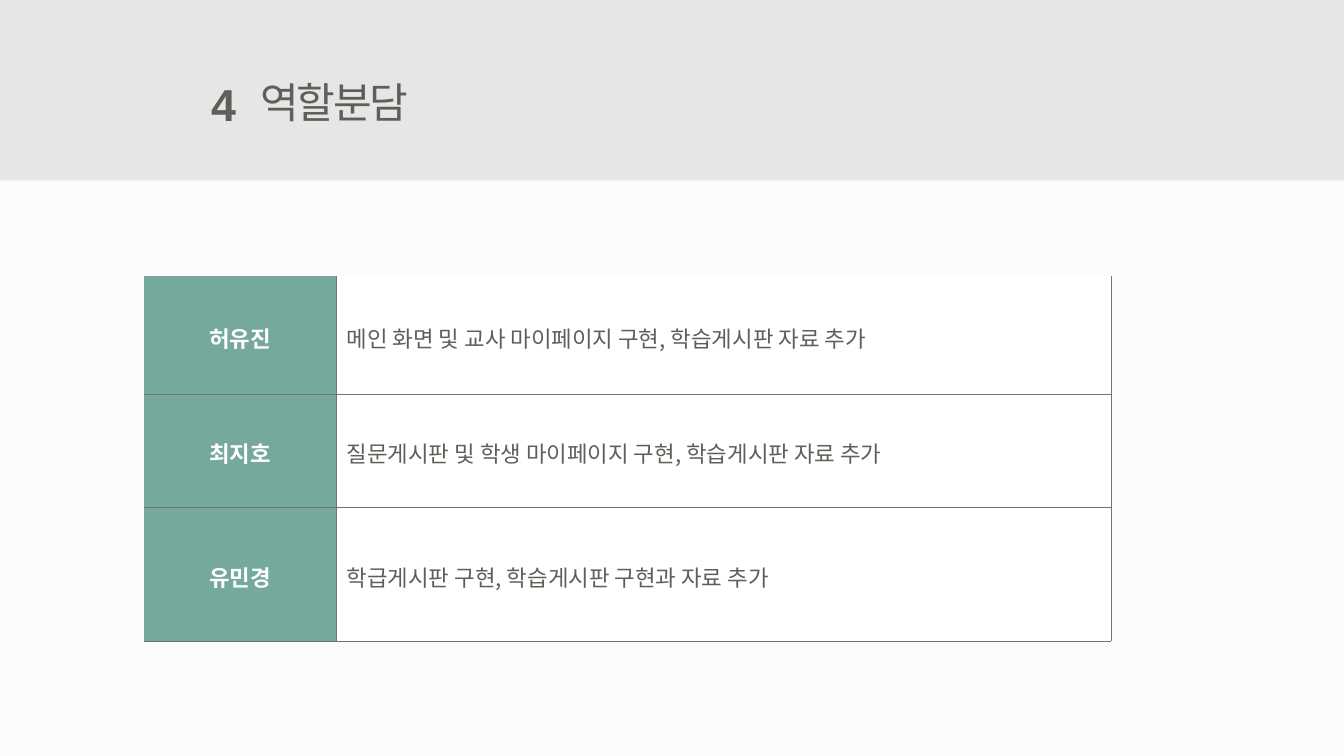
from lxml.etree import SubElement
from pptx import Presentation
from pptx.dml.color import RGBColor
from pptx.enum.shapes import MSO_SHAPE
from pptx.enum.text import MSO_ANCHOR, MSO_AUTO_SIZE, PP_ALIGN
from pptx.oxml.ns import qn
from pptx.util import Inches, Pt

KOREAN_FONT = "Noto Sans CJK KR"
GRAY, LINE, GREEN, WHITE = "5F5E58", "767171", "75A99E", "FFFFFF"
COLUMN_WIDTHS = (1.9, 7.69)
ROW_HEIGHTS = (1.17, 1.12, 1.33)
ROLES = (
    ("허유진", "메인 화면 및 교사 마이페이지 구현, 학습게시판 자료 추가"),
    ("최지호", "질문게시판 및 학생 마이페이지 구현, 학습게시판 자료 추가"),
    ("유민경", "학급게시판 구현, 학습게시판 구현과 자료 추가"),
)


def set_fill(fill, color):
    fill.solid()
    fill.fore_color.rgb = RGBColor.from_string(color)


def write_text(frame, text, size, color, align, font=KOREAN_FONT, bold=False, spacing=0):
    """Fill the frame with one paragraph; spacing is in hundredths of a point."""
    frame.text = text
    paragraph = frame.paragraphs[0]
    paragraph.alignment = align
    paragraph.font.name = font
    paragraph.font.size = Pt(size)
    paragraph.font.bold = bold
    paragraph.font.color.rgb = RGBColor.from_string(color)
    properties = paragraph.font._element
    SubElement(properties, qn("a:ea")).set("typeface", font)
    if spacing:
        properties.set("spc", str(spacing))
    return paragraph


def fit_heading(shape):
    frame = shape.text_frame
    frame.word_wrap = False
    frame.auto_size = MSO_AUTO_SIZE.SHAPE_TO_FIT_TEXT
    frame.vertical_anchor = MSO_ANCHOR.TOP
    return frame


def add_band(slide):
    band = slide.shapes.add_shape(MSO_SHAPE.RECTANGLE, 0, 0, Inches(13.33), Inches(1.79))
    band.shadow.inherit = False
    set_fill(band.fill, "E7E6E6")
    band.line.fill.background()
    slide.shapes._spTree.insert(2, band._element)  # behind the title


def add_heading(slide):
    number = slide.shapes.add_textbox(Inches(1.99), Inches(0.71), Inches(0.45), Inches(0.64))
    write_text(fit_heading(number), "4", 32, GRAY, PP_ALIGN.RIGHT, "Arial", True)
    title = slide.shapes.title
    title.left, title.top = Inches(2.48), Inches(0.71)
    title.width, title.height = Inches(1.8), Inches(0.61)
    write_text(fit_heading(title), "역할분담", 30, GRAY, PP_ALIGN.LEFT, spacing=-150)


def set_borders(cell, visible_sides):
    properties = cell._tc.get_or_add_tcPr()
    for side in "LRTB":
        border = SubElement(properties, qn(f"a:ln{side}"), w=str(Pt(0.25)))
        if side in visible_sides:
            color = SubElement(SubElement(border, qn("a:solidFill")), qn("a:srgbClr"))
            color.set("val", LINE)
        else:
            SubElement(border, qn("a:noFill"))


def format_cell(cell, text, row, column):
    is_name = column == 0
    color, align = (WHITE, PP_ALIGN.CENTER) if is_name else (GRAY, PP_ALIGN.JUSTIFY)
    paragraph = write_text(cell.text_frame, text, 16, color, align, bold=is_name)
    paragraph.line_spacing = 1.15
    cell.vertical_anchor = MSO_ANCHOR.MIDDLE
    cell.margin_left = cell.margin_right = Inches(0.11)
    cell.margin_top = cell.margin_bottom = Inches(0.06)
    set_borders(cell, "RB" + ("T" if row else "") + ("L" if column else ""))
    set_fill(cell.fill, GREEN if is_name else WHITE)


def add_role_table(slide):
    table = slide.shapes.add_table(
        len(ROLES), len(COLUMN_WIDTHS), Inches(1.43), Inches(2.74),
        Inches(sum(COLUMN_WIDTHS)), Inches(sum(ROW_HEIGHTS)),
    ).table
    table.first_row = table.horz_banding = False
    for column, width in zip(table.columns, COLUMN_WIDTHS):
        column.width = Inches(width)
    for row, height in zip(table.rows, ROW_HEIGHTS):
        row.height = Inches(height)
    for row, texts in enumerate(ROLES):
        for column, text in enumerate(texts):
            format_cell(table.cell(row, column), text, row, column)


def main():
    presentation = Presentation()
    presentation.slide_width, presentation.slide_height = Inches(13.33), Inches(7.5)
    slide = presentation.slides.add_slide(presentation.slide_layouts[5])
    set_fill(slide.background.fill, "FBFBFB")
    add_band(slide)
    add_heading(slide)
    add_role_table(slide)
    presentation.save("out.pptx")


if __name__ == "__main__":
    main()
